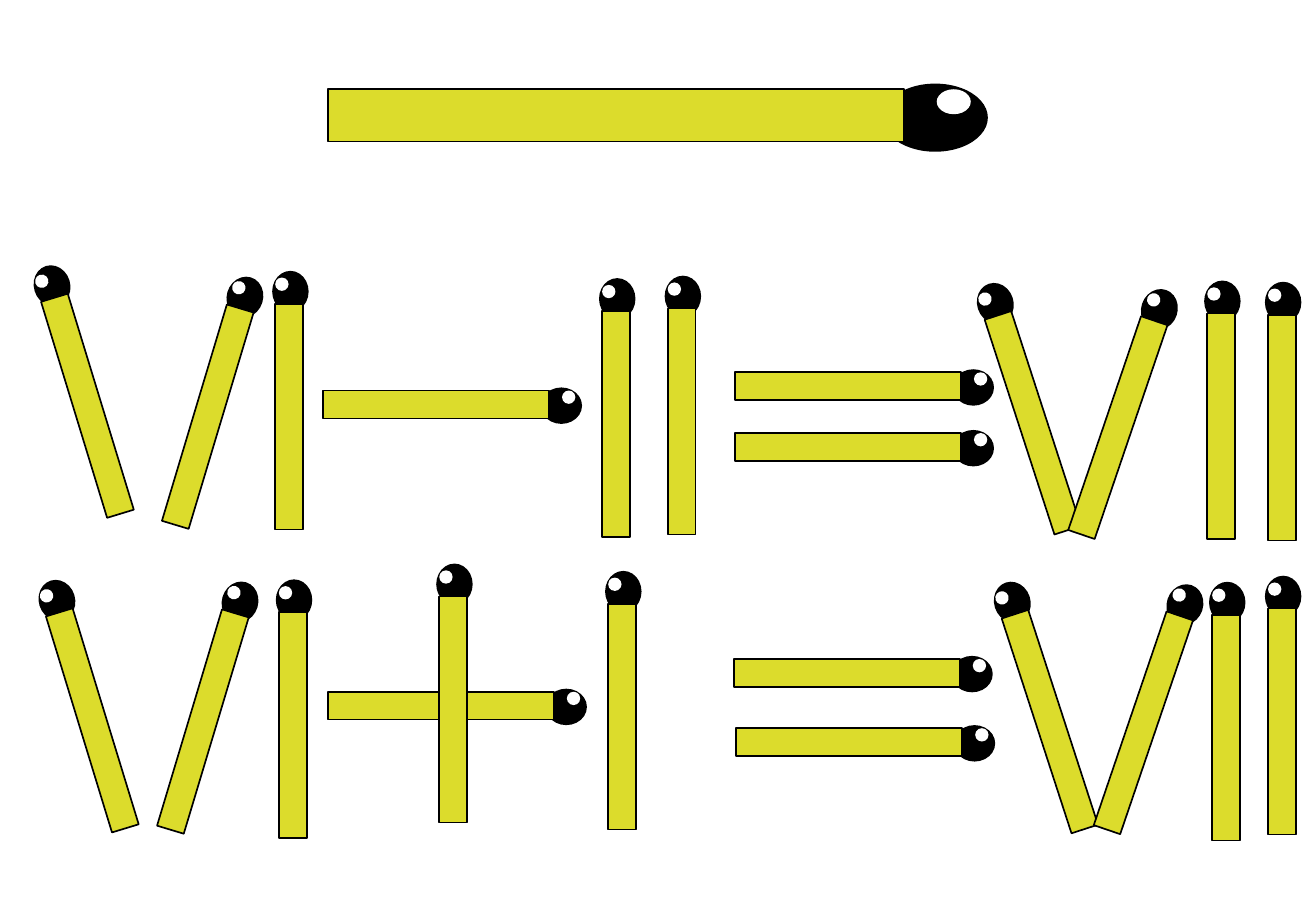
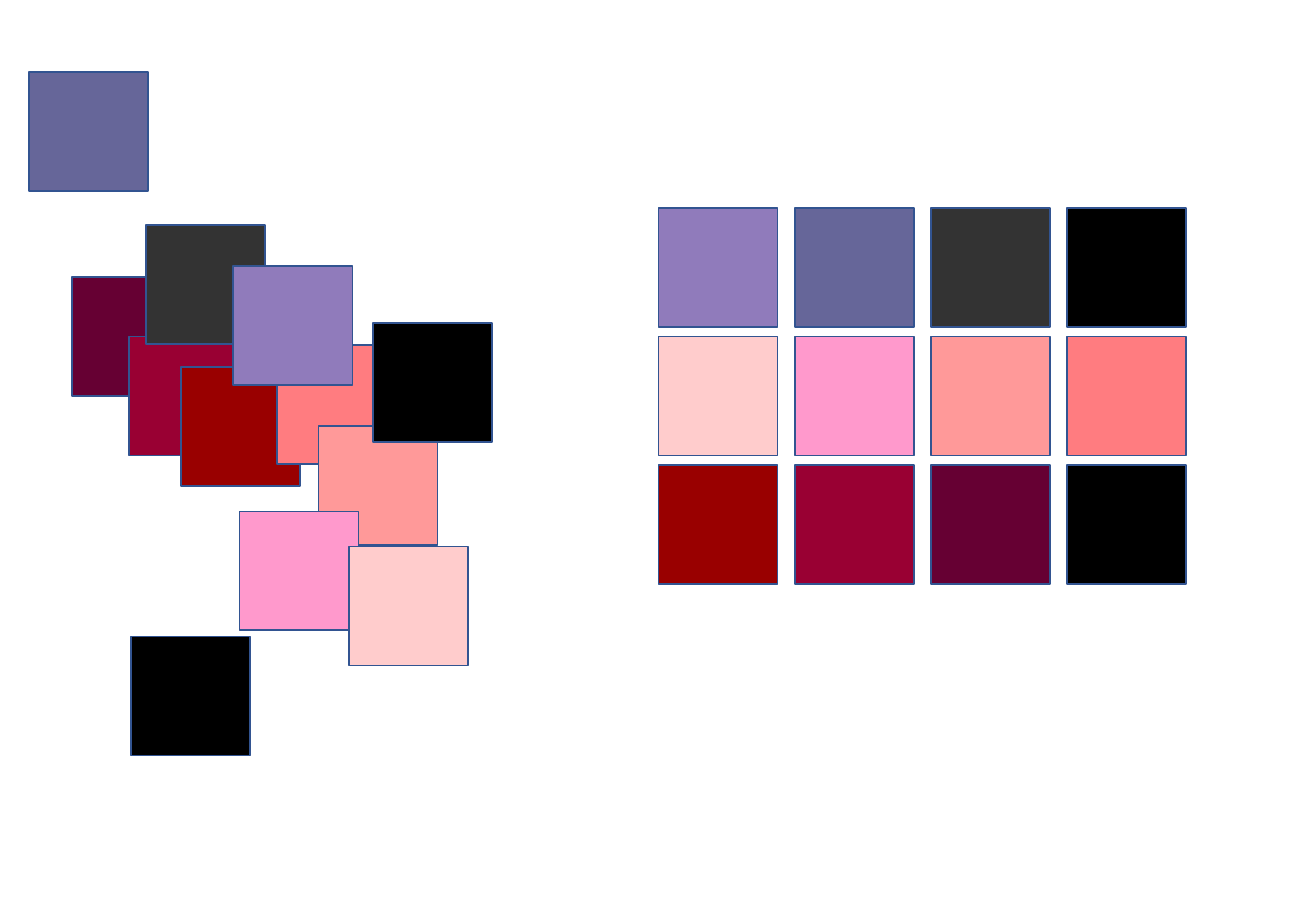
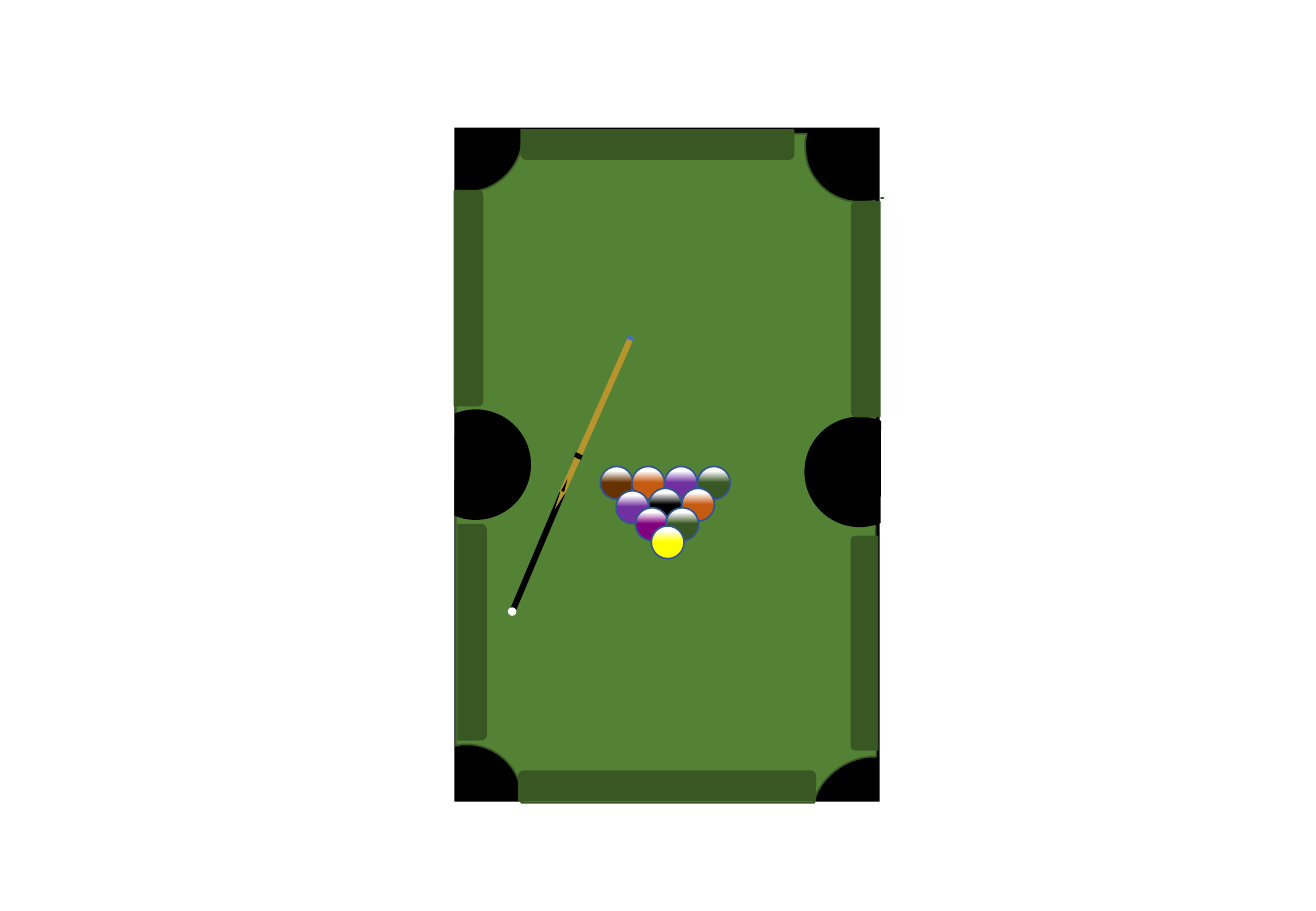
from dataclasses import dataclass
from math import cos, radians, sin
from typing import Any, Optional

from pptx import Presentation
from pptx.dml.color import RGBColor
from pptx.enum.shapes import MSO_SHAPE
from pptx.slide import Slide
from pptx.util import Inches, Pt

RECT = MSO_SHAPE.RECTANGLE
OVAL = MSO_SHAPE.OVAL
CHORD = MSO_SHAPE.CHORD
CONE = MSO_SHAPE.ISOSCELES_TRIANGLE
RAIL = MSO_SHAPE.ROUND_2_SAME_RECTANGLE


@dataclass(frozen=True)
class Theme:
    wide: float = 10.83
    high: float = 7.5
    line: float = 1
    black: str = "000000"
    white: str = "FFFFFF"
    wood: str = "DCDC2C"
    edge: str = "325491"
    lilac: str = "907BBB"
    slate: str = "666699"
    coal: str = "333333"
    coral: str = "FF7C80"
    salmon: str = "FF9999"
    pink: str = "FF99CC"
    blush: str = "FFCCCC"
    red: str = "990000"
    ruby: str = "990033"
    wine: str = "660033"
    cloth: str = "548235"
    moss: str = "385723"
    brown: str = "663300"
    orange: str = "C55A11"
    violet: str = "7030A0"
    plum: str = "800080"
    yellow: str = "FFFF00"
    chalk: str = "4472C4"
    cue: str = "B7942D"


T = Theme()


@dataclass(frozen=True)
class Part:
    kind: Any
    left: float
    top: float
    width: float
    height: float
    fill: str
    line: Optional[str] = None
    turn: float = 0


@dataclass(frozen=True)
class Match:
    x: float
    y: float
    turn: float = 0
    long: float = 1
    thick: float = 1


@dataclass(frozen=True)
class Spot:
    left: float
    top: float
    fill: str


MATCH = (
    Part(OVAL, 1.03, 0.01, 0.34, 0.3, T.black),
    Part(RECT, 0, 0, 1.86, 0.23, T.wood, T.black),
    Part(OVAL, 1.09, -0.06, 0.11, 0.11, T.white),
)

STICKS = (
    Match(5.07, 0.95, 0, 2.55, 1.87),
    Match(0.72, 3.34, 253), Match(1.71, 3.43, 286.7), Match(2.38, 3.43, 270),
    Match(3.59, 3.33), Match(5.07, 3.49, 270), Match(5.61, 3.47, 270),
    Match(6.98, 3.18), Match(6.98, 3.68),
    Match(8.5, 3.48, 252), Match(9.2, 3.52, 288.8),
    Match(10.05, 3.51, 270), Match(10.55, 3.52, 270),
    Match(0.76, 5.93, 253), Match(1.67, 5.94, 286.7), Match(2.41, 5.97, 270),
    Match(3.63, 5.81), Match(3.73, 5.84, 270), Match(5.12, 5.9, 270),
    Match(6.97, 5.54), Match(6.99, 6.11),
    Match(8.64, 5.94, 252), Match(9.41, 5.95, 288.8),
    Match(10.09, 5.99, 270), Match(10.55, 5.94, 270),
)

TILE = 0.98
GRID = (
    (T.lilac, T.slate, T.coal, T.black),
    (T.blush, T.pink, T.salmon, T.coral),
    (T.red, T.ruby, T.wine, T.black),
)
PILE = (
    Spot(1.08, 5.24, T.black), Spot(0.59, 2.28, T.wine),
    Spot(1.06, 2.77, T.ruby), Spot(1.49, 3.02, T.red),
    Spot(2.28, 2.84, T.coral), Spot(2.62, 3.51, T.salmon),
    Spot(1.97, 4.21, T.pink), Spot(2.87, 4.5, T.blush),
    Spot(3.07, 2.66, T.black), Spot(1.2, 1.85, T.coal),
    Spot(0.24, 0.59, T.slate), Spot(1.92, 2.19, T.lilac),
)

SPECK = ((7.25, 1.63), (7.27, 1.63), (7.25, 1.63))
FELT = (
    (4.3, 1.15), (6.64, 1.1), (6.63, 1.14),
    (6.62, 1.21, 6.63, 1.29, 6.65, 1.36),
    (6.72, 1.56, 6.92, 1.68, 7.12, 1.66),
    (7.15, 1.66, 7.17, 1.66, 7.2, 1.65),
    (7.21, 6.23), (7, 6.22, 6.78, 6.37, 6.71, 6.56),
    (6.7, 6.61), (4.29, 6.61), (4.29, 6.5),
    (4.25, 6.3, 4.09, 6.15, 3.88, 6.13),
    (3.85, 6.13, 3.83, 6.13, 3.8, 6.13),
    (3.75, 6.14), (3.75, 1.57), (3.78, 1.57),
    (3.81, 1.58, 3.83, 1.58, 3.86, 1.58),
    (4.07, 1.57, 4.24, 1.42, 4.29, 1.22),
    (4.29, 1.2, 4.3, 1.17, 4.3, 1.15),
)
TABLE = Part(RECT, 3.74, 1.05, 3.5, 5.55, T.black)
RAILS = (
    Part(RAIL, 3, 5.09, 1.77, 0.23, T.moss, T.moss, 90),
    Part(RAIL, 2.97, 2.34, 1.77, 0.23, T.moss, T.moss, 90),
    Part(RAIL, 4.29, 1.07, 2.24, 0.24, T.moss, T.moss, 180),
    Part(RAIL, 4.27, 6.35, 2.44, 0.24, T.moss, T.moss),
    Part(CHORD, 3.46, 3.37, 0.91, 0.91, T.black, None, 202.8),
    Part(CHORD, 6.62, 3.43, 0.91, 0.91, T.black, None, 22.7),
    Part(RAIL, 6.23, 5.18, 1.77, 0.23, T.moss, None, 270),
    Part(RAIL, 6.24, 2.43, 1.77, 0.23, T.moss, T.moss, 270),
)
BALL = 0.27
RACK = (
    Spot(4.94, 3.84, T.brown), Spot(5.2, 3.84, T.orange),
    Spot(5.47, 3.84, T.violet), Spot(5.74, 3.84, T.moss),
    Spot(5.61, 4.02, T.orange), Spot(5.34, 4.02, T.black),
    Spot(5.07, 4.04, T.violet), Spot(5.23, 4.18, T.plum),
    Spot(5.48, 4.18, T.moss), Spot(5.36, 4.33, T.yellow),
)
CUE = (
    Part(RECT, 4.4, 4.01, 0.05, 1.06, T.black, None, 22.9),
    Part(RECT, 5.14, 2.78, 0.08, 0.05, T.chalk, None, 115.1),
    Part(RECT, 4.88, 2.74, 0.05, 1.38, T.cue, None, 23.9),
    Part(OVAL, 4.18, 5, 0.07, 0.07, T.white),
    Part(CONE, 4.62, 3.94, 0.04, 0.16, T.black, None, 21.7),
    Part(CONE, 4.58, 4.04, 0.04, 0.16, T.cue, None, 205),
    Part(RECT, 4.73, 3.73, 0.04, 0.04, T.black, None, 23.2),
    Part(RECT, 4.75, 3.74, 0.04, 0.04, T.black, None, 23.2),
)


def rgb(code: str) -> RGBColor:
    return RGBColor.from_string(code)


def paint(shape: Any, fill: str, line: Optional[str]) -> None:
    shape.shadow.inherit = False
    shape.fill.solid()
    shape.fill.fore_color.rgb = rgb(fill)
    if line is None:
        shape.line.fill.background()
    else:
        shape.line.color.rgb = rgb(line)
        shape.line.width = Pt(T.line)


def draw(shapes: Any, part: Part) -> Any:
    shape = shapes.add_shape(
        part.kind, Inches(part.left), Inches(part.top),
        Inches(part.width), Inches(part.height),
    )
    shape.rotation = part.turn
    paint(shape, part.fill, part.line)
    return shape


def strike(slide: Slide, match: Match) -> None:
    group = slide.shapes.add_group_shape()
    turn = radians(match.turn)
    for part in MATCH:
        dx, dy = part.left * match.long, part.top * match.thick
        width, height = part.width * match.long, part.height * match.thick
        x = match.x + dx * cos(turn) - dy * sin(turn)
        y = match.y + dx * sin(turn) + dy * cos(turn)
        draw(group.shapes, Part(
            part.kind, x - width / 2, y - height / 2, width, height,
            part.fill, part.line, match.turn,
        ))


def tile(slide: Slide, spot: Spot) -> None:
    draw(slide.shapes, Part(
        RECT, spot.left, spot.top, TILE, TILE, spot.fill, T.edge,
    ))


def ball(slide: Slide, spot: Spot) -> None:
    shape = draw(slide.shapes, Part(
        OVAL, spot.left, spot.top, BALL, BALL, spot.fill, T.edge,
    ))
    shape.fill.gradient()
    shape.fill.gradient_angle = 270
    stops = ((0.14, T.white), (0.49, spot.fill))
    for stop, (place, code) in zip(shape.fill.gradient_stops, stops):
        stop.position = place
        stop.color.rgb = rgb(code)


def trace(steps: tuple, count: int = 12) -> list[tuple[int, int]]:
    spots = [steps[0]]
    for step in steps[1:]:
        if len(step) == 2:
            spots.append(step)
            continue
        a, b, c, d = spots[-1], step[:2], step[2:4], step[4:]
        for i in range(1, count + 1):
            t = i / count
            u = 1 - t
            spots.append(tuple(
                u**3 * a[k] + 3 * u * u * t * b[k]
                + 3 * u * t * t * c[k] + t**3 * d[k]
                for k in range(2)
            ))
    return [(Inches(x), Inches(y)) for x, y in spots]


def felt(slide: Slide) -> None:
    first, *rest = trace(SPECK)
    pen = slide.shapes.build_freeform(*first)
    pen.add_line_segments(rest)
    first, *rest = trace(FELT)
    pen.move_to(*first)
    pen.add_line_segments(rest)
    paint(pen.convert_to_shape(), T.cloth, T.moss)


def puzzle(slide: Slide) -> None:
    for match in STICKS:
        strike(slide, match)


def swatch(slide: Slide) -> None:
    for row, codes in enumerate(GRID):
        for col, code in enumerate(codes):
            tile(slide, Spot(5.42 + 1.12 * col, 1.71 + 1.06 * row, code))
    for spot in PILE:
        tile(slide, spot)


def pool(slide: Slide) -> None:
    draw(slide.shapes, TABLE)
    felt(slide)
    for part in RAILS:
        draw(slide.shapes, part)
    for spot in RACK:
        ball(slide, spot)
    for part in CUE:
        draw(slide.shapes, part)


def main() -> None:
    deck = Presentation()
    deck.slide_width = Inches(T.wide)
    deck.slide_height = Inches(T.high)
    for build in (puzzle, swatch, pool):
        build(deck.slides.add_slide(deck.slide_layouts[6]))
    deck.save("out.pptx")


if __name__ == "__main__":
    main()
